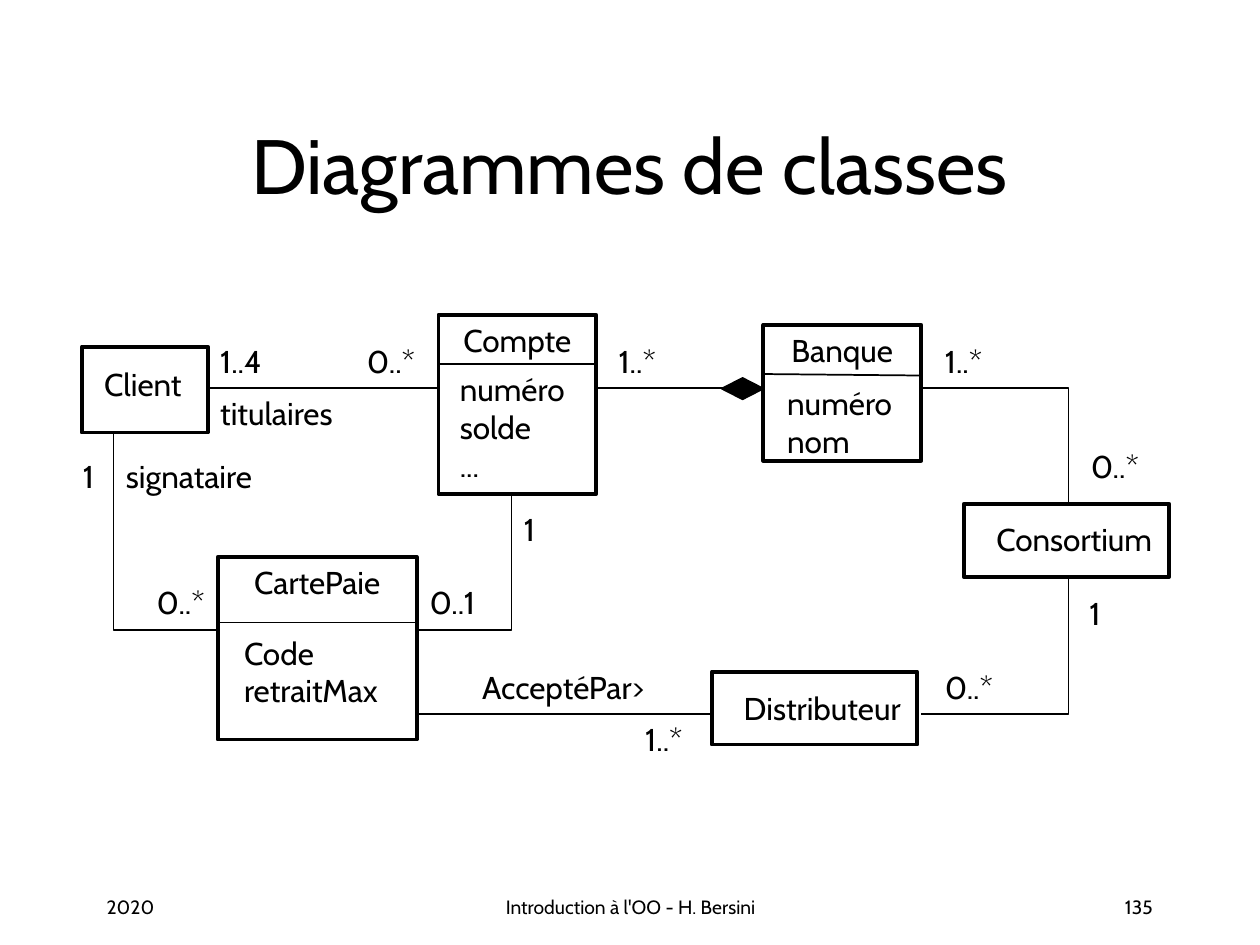
from lxml.etree import SubElement
from pptx import Presentation
from pptx.dml.color import RGBColor
from pptx.enum.shapes import MSO_CONNECTOR, MSO_SHAPE
from pptx.enum.text import MSO_ANCHOR, PP_ALIGN
from pptx.oxml.ns import qn
from pptx.util import Cm, Pt

BLACK = RGBColor(0, 0, 0)
FONT = "Cabin"
LEFT, CENTER, RIGHT = PP_ALIGN.LEFT, PP_ALIGN.CENTER, PP_ALIGN.RIGHT
LABEL_HEIGHT = 1.02

# Outline (left, top, width, height) of each class, in cm
CLASS_BOXES = [
    (1.65, 6.99, 2.54, 1.73),    # Client
    (8.84, 6.35, 3.18, 3.61),    # Compte
    (15.39, 6.55, 3.18, 2.74),   # Banque
    (19.43, 10.16, 4.14, 1.47),  # Consortium
    (4.39, 11.23, 4.01, 3.68),   # CartePaie
    (14.35, 13.54, 4.14, 1.47),  # Distributeur
]

# Name, left, top, width
CLASS_NAMES = [
    ("Client", 1.65, 7.24, 2.46),
    ("Compte", 8.84, 6.35, 3.18),
    ("Banque", 15.39, 6.55, 3.18),
    ("Consortium", 19.43, 10.36, 4.45),
    ("CartePaie", 4.39, 11.23, 4.01),
    ("Distributeur", 14.35, 13.77, 4.45),
]

# Attributes, left, top, width, height
ATTRIBUTES = [
    ("numéro\nsolde\n...", 9.02, 7.34, 3.63, 2.54),
    ("numéro\nnom", 15.62, 7.62, 2.74, 1.78),
    ("Code\nretraitMax", 4.67, 12.65, 3.48, 1.78),
]

# Text, left, top, width, alignment
ASSOCIATION_LABELS = [
    ("1..4", 4.19, 6.78, 2.11, LEFT),
    ("0..*", 6.93, 6.78, 1.91, CENTER),
    ("titulaires", 4.19, 7.82, 3.18, LEFT),
    ("1..*", 12.22, 6.78, 1.91, LEFT),
    ("1..*", 18.8, 6.78, 1.91, LEFT),
    ("0..*", 21.74, 8.89, 1.91, LEFT),
    ("1", 21.34, 11.86, 1.47, CENTER),
    ("0..*", 18.8, 13.34, 1.47, CENTER),
    ("1..*", 12.65, 14.4, 1.47, CENTER),
    ("AcceptéPar>", 9.47, 13.34, 4.24, LEFT),
    ("0..1", 8.41, 11.63, 1.91, LEFT),
    ("1", 10.31, 10.16, 0.84, LEFT),
    ("signataire", 2.29, 9.09, 3.81, LEFT),
    ("1", 1.42, 9.09, 1.07, LEFT),
    ("0..*", 2.69, 11.63, 1.91, CENTER),
]

# Start x, start y, end x, end y
STRAIGHT_LINES = [
    (8.84, 7.34, 12.02, 7.34),     # Compte divider
    (15.39, 7.54, 18.57, 7.57),    # Banque divider
    (4.39, 12.55, 8.41, 12.55),    # CartePaie divider
    (4.19, 7.82, 8.84, 7.82),      # Client - Compte
    (12.02, 7.82, 15.39, 7.82),    # Compte - Banque
    (8.41, 14.4, 14.35, 14.4),     # CartePaie - Distributeur
]

# Each elbow runs vertically from its first point, then horizontally
ELBOWS = [
    (21.54, 11.63, 18.57, 14.4),   # Consortium - Distributeur
    (21.54, 10.16, 18.57, 7.82),   # Consortium - Banque
    (10.31, 9.96, 8.41, 12.7),     # Compte - CartePaie
    (2.29, 8.69, 4.39, 12.7),      # Client - CartePaie
]

FOOTERS = [
    ("2020", 1.9, 5.28, LEFT),
    ("Introduction à l'OO - H. Bersini", 8.69, 8.05, CENTER),
    ("135", 18.21, 5.28, RIGHT),
]


def format_text(text_frame, size, alignment):
    for paragraph in text_frame.paragraphs:
        paragraph.alignment = alignment
        for run in paragraph.runs:
            run.font.name = FONT
            run.font.size = Pt(size)
            run.font.color.rgb = BLACK


def format_line(shape, width):
    shape.line.color.rgb = BLACK
    shape.line.width = Pt(width)


def add_title(slide, text):
    title = slide.shapes.title
    title.left, title.top, title.width, title.height = Cm(1.9), Cm(1.7), Cm(21.59), Cm(3.18)
    title.text_frame.text = text
    title.text_frame.vertical_anchor = MSO_ANCHOR.MIDDLE
    format_text(title.text_frame, 44, CENTER)


def add_text(slide, text, left, top, width, height=LABEL_HEIGHT, alignment=LEFT, size=18):
    box = slide.shapes.add_textbox(Cm(left), Cm(top), Cm(width), Cm(height))
    text_frame = box.text_frame
    text_frame.word_wrap = True
    if alignment == CENTER:
        text_frame.margin_left = text_frame.margin_right = 0
    text_frame.text = text
    format_text(text_frame, size, alignment)


def add_class_box(slide, left, top, width, height):
    box = slide.shapes.add_shape(MSO_SHAPE.RECTANGLE, Cm(left), Cm(top), Cm(width), Cm(height))
    box.shadow.inherit = False
    box.fill.background()
    format_line(box, 2.25)


def add_straight_line(slide, start_x, start_y, end_x, end_y):
    line = slide.shapes.add_connector(
        MSO_CONNECTOR.STRAIGHT, Cm(start_x), Cm(start_y), Cm(end_x), Cm(end_y))
    format_line(line, 1)
    SubElement(line._element.spPr, qn("a:effectLst"))


def add_elbow(slide, start_x, start_y, end_x, end_y):
    builder = slide.shapes.build_freeform(Cm(start_x), Cm(start_y))
    builder.add_line_segments(
        [(Cm(start_x), Cm(end_y)), (Cm(end_x), Cm(end_y))], close=False)
    elbow = builder.convert_to_shape()
    elbow.shadow.inherit = False
    elbow.fill.background()
    format_line(elbow, 1)


def add_composition_diamond(slide, left, top, width, height):
    diamond = slide.shapes.add_shape(
        MSO_SHAPE.FLOWCHART_DECISION, Cm(left), Cm(top), Cm(width), Cm(height))
    diamond.shadow.inherit = False
    diamond.fill.solid()
    diamond.fill.fore_color.rgb = BLACK
    format_line(diamond, 1)


def main():
    presentation = Presentation()
    presentation.slide_width, presentation.slide_height = Cm(25.4), Cm(19.05)
    slide = presentation.slides.add_slide(presentation.slide_layouts[5])

    add_title(slide, "Diagrammes de classes")
    for box in CLASS_BOXES:
        add_class_box(slide, *box)
    for line in STRAIGHT_LINES:
        add_straight_line(slide, *line)
    for elbow in ELBOWS:
        add_elbow(slide, *elbow)
    add_composition_diamond(slide, 14.55, 7.62, 0.84, 0.43)

    for name, left, top, width in CLASS_NAMES:
        add_text(slide, name, left, top, width, alignment=CENTER)
    for attributes in ATTRIBUTES:
        add_text(slide, *attributes)
    for text, left, top, width, alignment in ASSOCIATION_LABELS:
        add_text(slide, text, left, top, width, alignment=alignment)
    for text, left, width, alignment in FOOTERS:
        add_text(slide, text, left, 17.93, width, 0.71, alignment, size=11)

    presentation.save("out.pptx")


if __name__ == "__main__":
    main()
